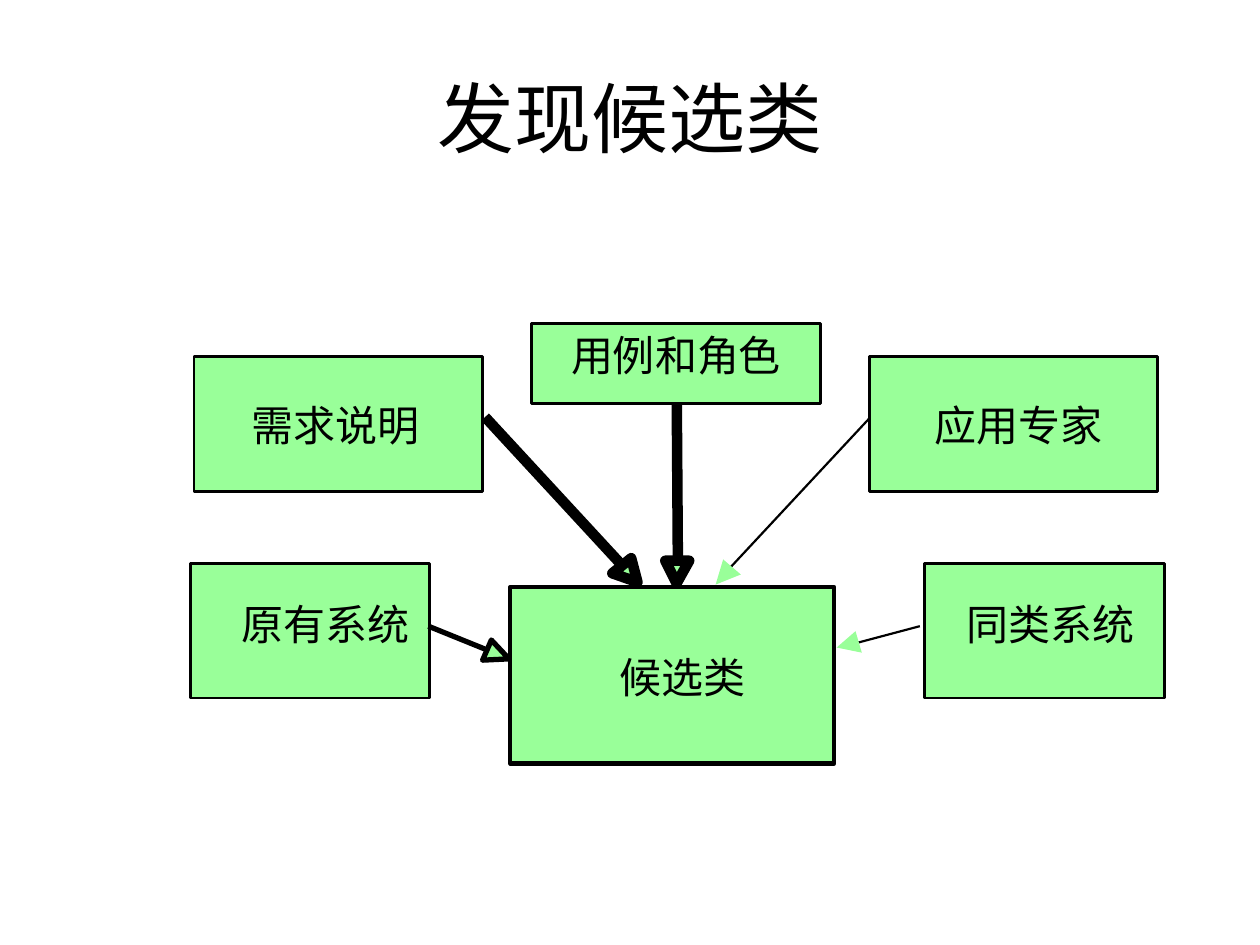
from pptx import Presentation
from pptx.dml.color import RGBColor
from pptx.enum.shapes import MSO_CONNECTOR, MSO_SHAPE
from pptx.enum.text import MSO_ANCHOR, MSO_AUTO_SIZE, PP_ALIGN
from pptx.oxml.ns import qn
from pptx.util import Inches, Pt
from lxml import etree

BLACK = RGBColor(0x00, 0x00, 0x00)
WHITE = RGBColor(0xFF, 0xFF, 0xFF)
GREEN = RGBColor(0x99, 0xFF, 0x99)
LABEL_HEIGHT = 0.39

# Text, box (left, top, width, height), label offset and width, border
SOURCES = [
    ("应用专家", (6.9, 2.83, 2.29, 1.07), (0.52, 0.34), 1.36, 1.63),
    ("需求说明", (1.54, 2.83, 2.29, 1.07), (0.46, 0.34), 1.36, 1.63),
    ("原有系统", (1.51, 4.47, 1.9, 1.07), (0.41, 0.28), 1.36, 1.63),
    ("同类系统", (7.34, 4.47, 1.9, 1.07), (0.33, 0.28), 1.36, 1.63),
    ("候选类", (4.05, 4.66, 2.57, 1.4), (0.87, 0.51), 1.02, 2.5),
]

# Line start, line end, corners of the head, line width, outlined head
ARROWS = [
    ((3.85, 3.31), (4.94, 4.49), [(4.86, 4.55), (5.06, 4.62), (5.01, 4.43)], 6, True),
    ((5.37, 2.96), (5.38, 4.45), [(5.28, 4.45), (5.37, 4.63), (5.47, 4.45)], 6, True),
    ((7.3, 4.97), (6.81, 5.1), [(6.79, 5.01), (6.64, 5.14), (6.84, 5.18)], 1.25, False),
    ((3.4, 4.97), (3.87, 5.16), [(3.83, 5.24), (4.04, 5.23), (3.9, 5.08)], 3, True),
    ((6.9, 3.32), (5.8, 4.5), [(5.74, 4.44), (5.68, 4.64), (5.88, 4.56)], 1.25, False),
]


def write_text(frame, text, size=24, font="Times New Roman", align=PP_ALIGN.LEFT,
               anchor=MSO_ANCHOR.TOP, wrap=True):
    frame.word_wrap = wrap
    frame.vertical_anchor = anchor
    para = frame.paragraphs[0]
    para.alignment = align
    span = para.add_run()
    span.text = text
    span.font.size = Pt(size)
    span.font.name = font
    span.font.color.rgb = BLACK


def paint(shape, line_width=None):
    shape.shadow.inherit = False
    shape.fill.solid()
    shape.fill.fore_color.rgb = GREEN
    if line_width is None:
        shape.line.fill.background()
    else:
        shape.line.color.rgb = BLACK
        shape.line.width = Pt(line_width)


def add_box(page, box, line_width=None):
    shape = page.shapes.add_shape(MSO_SHAPE.RECTANGLE, *map(Inches, box))
    paint(shape, line_width)
    return shape


def add_title(page, box, text):
    title = page.shapes.title
    title.left, title.top, title.width, title.height = map(Inches, box)
    write_text(title.text_frame, text, size=44, font="Arial",
               align=PP_ALIGN.CENTER, anchor=MSO_ANCHOR.MIDDLE)


def add_labelled_box(page, text, box, offset, label_width, line_width):
    add_box(page, box, line_width)
    label = add_box(page, (box[0] + offset[0], box[1] + offset[1],
                           label_width, LABEL_HEIGHT))
    frame = label.text_frame
    frame.margin_left = frame.margin_right = 0
    frame.margin_top = frame.margin_bottom = 0
    write_text(frame, text, wrap=False)
    frame.auto_size = MSO_AUTO_SIZE.SHAPE_TO_FIT_TEXT


def add_arrow(page, start, end, corners, line_width, outlined):
    group = page.shapes.add_group_shape()
    # Shaft
    shaft = group.shapes.add_connector(MSO_CONNECTOR.STRAIGHT,
                                       *map(Inches, start + end))
    shaft.line.color.rgb = BLACK
    shaft.line.width = Pt(line_width)
    etree.SubElement(shaft._element.spPr, qn("a:effectLst"))
    # Triangular head
    points = [(Inches(x), Inches(y)) for x, y in corners]
    builder = group.shapes.build_freeform(*points[0])
    builder.add_line_segments(points[1:], close=True)
    paint(builder.convert_to_shape(), line_width if outlined else None)


def main():
    deck = Presentation()
    deck.slide_width, deck.slide_height = Inches(10), Inches(7.5)
    page = deck.slides.add_slide(deck.slide_layouts[5])
    page.background.fill.solid()
    page.background.fill.fore_color.rgb = WHITE

    add_title(page, (0.5, 0.3, 9, 1.25), "发现候选类")
    for source in SOURCES:
        add_labelled_box(page, *source)
    for arrow in ARROWS:
        add_arrow(page, *arrow)

    # The top box covers the start of the vertical arrow
    top_box = add_box(page, (4.22, 2.57, 2.29, 0.63), 1.63)
    write_text(top_box.text_frame, "用例和角色", align=PP_ALIGN.CENTER)

    deck.save("out.pptx")


if __name__ == "__main__":
    main()
